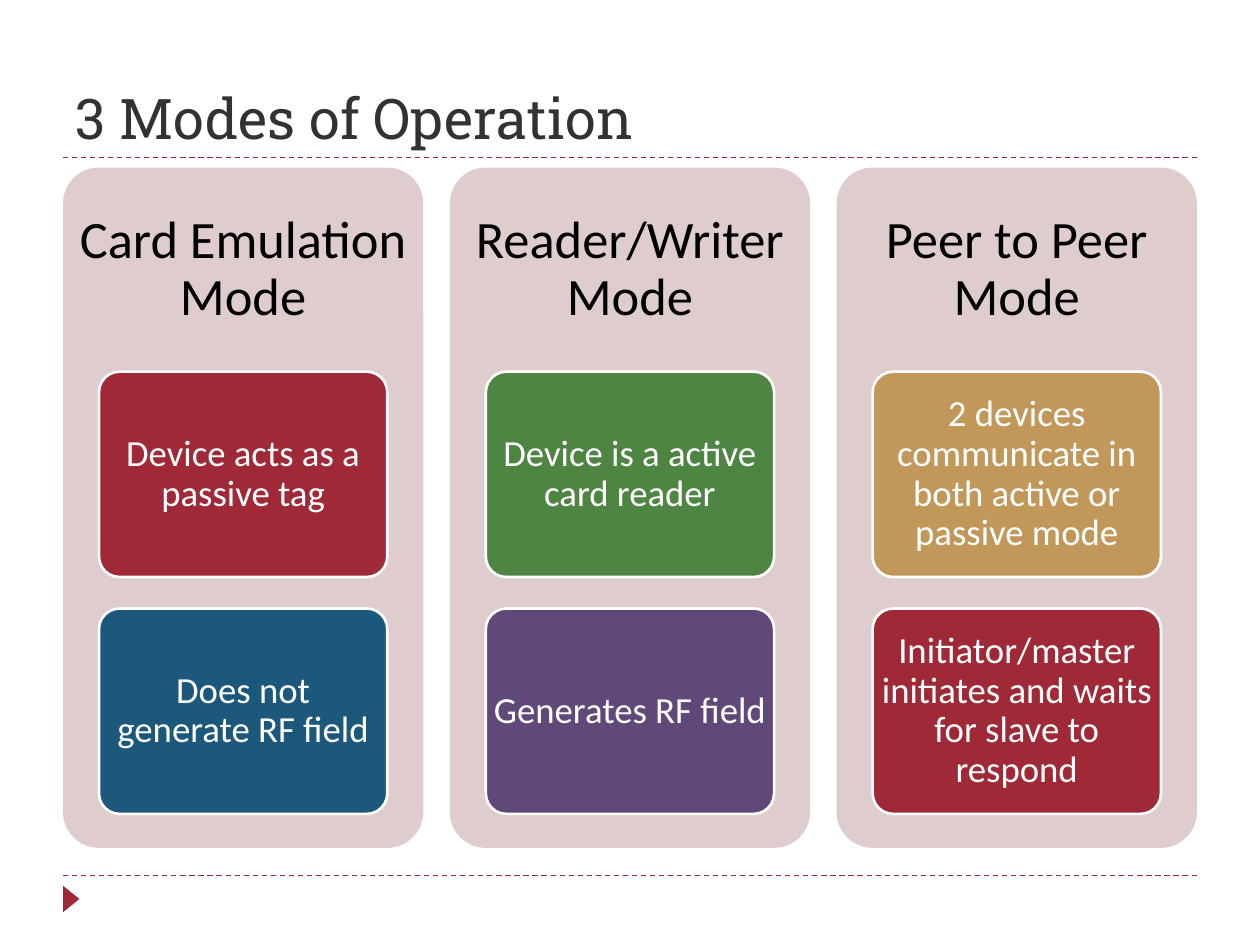
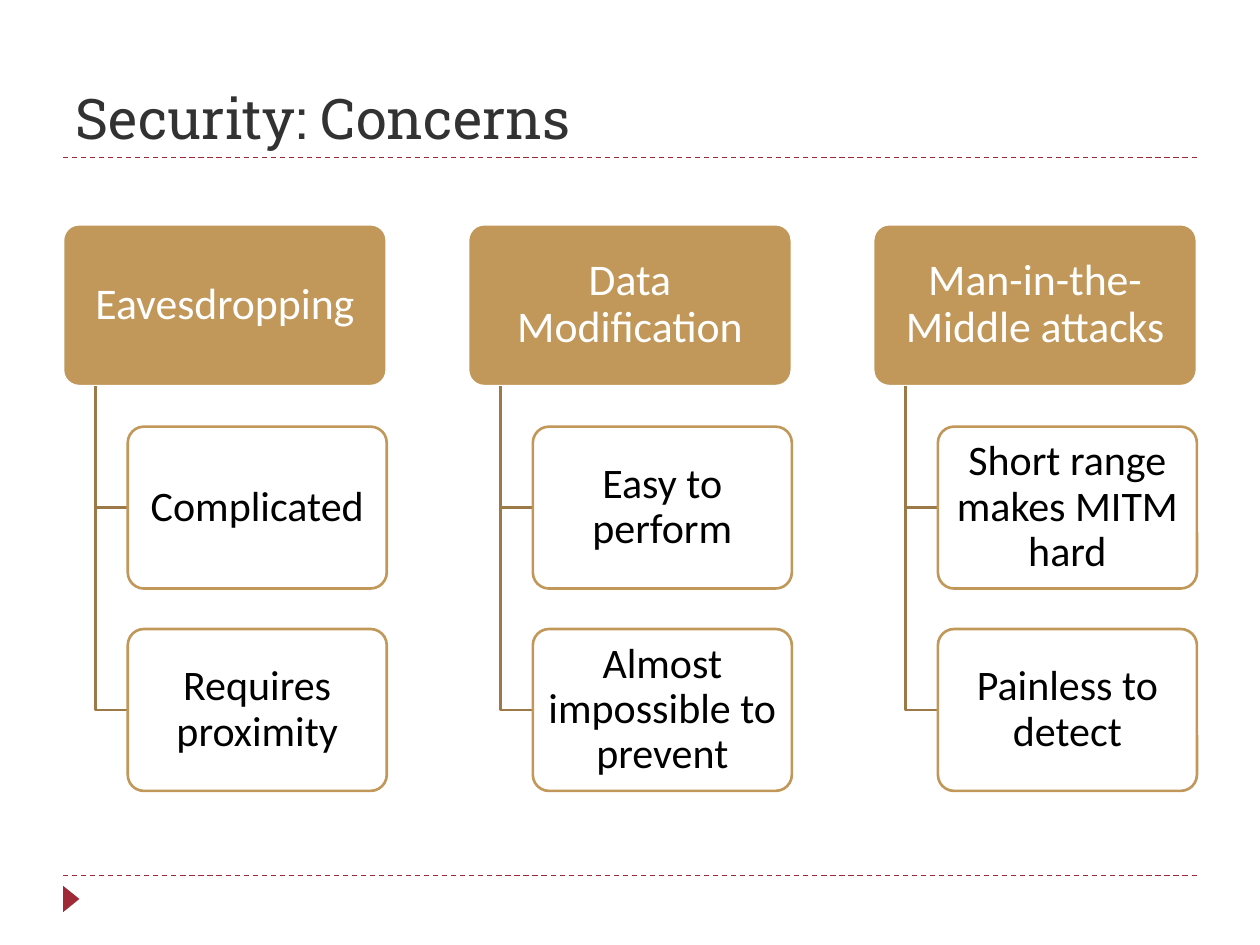
from dataclasses import dataclass
from typing import NamedTuple, Optional

from lxml.etree import SubElement
from pptx import Presentation
from pptx.dml.color import RGBColor
from pptx.enum.dml import MSO_LINE
from pptx.enum.shapes import MSO_CONNECTOR, MSO_SHAPE
from pptx.enum.text import MSO_ANCHOR, MSO_AUTO_SIZE, PP_ALIGN
from pptx.oxml.ns import qn
from pptx.util import Inches, Pt

# Shared look
TITLE_FONT, BODY_FONT = "Roboto Slab", "Calibri"
RED, BLUE, GREEN = "9F2936", "1B587C", "4E8542"
PURPLE, GOLD, DARK_GOLD = "604878", "C19859", "9B7A47"
PINK, CHARCOAL, WHITE, BLACK = "DFCDCE", "323232", "FFFFFF", "000000"

# Shared page grid, in inches
PAGE_W, PAGE_H = 10, 7.5
MARGIN = 0.05 * PAGE_W
CONTENT_W = PAGE_W - 2 * MARGIN
TITLE_TOP, TITLE_RULE, FOOTER_RULE = 0.17, 1.25, 6.95
COLUMNS = 3
CORNER = 0.1


class Box(NamedTuple):
    left: float
    top: float
    width: float
    height: float

    def lengths(self) -> list:
        return [Inches(value) for value in self]


@dataclass
class Style:
    fill: str
    text: str
    size: int
    inset: float
    line: Optional[str] = None
    opacity: int = 100


@dataclass
class Mode:
    heading: str
    cards: list  # (wording, fill) pairs


@dataclass
class Concern:
    heading: str
    points: list


MODES = [
    Mode("Card Emulation Mode", [("Device acts as a passive tag", RED),
                                 ("Does not generate RF field", BLUE)]),
    Mode("Reader/Writer Mode", [("Device is a active card reader", GREEN),
                                ("Generates RF field", PURPLE)]),
    Mode("Peer to Peer Mode", [("2 devices communicate in both active or passive mode", GOLD),
                               ("Initiator/master initiates and waits for slave to respond", RED)]),
]
CONCERNS = [
    Concern("Eavesdropping", ["Complicated", "Requires proximity"]),
    Concern("Data Modification", ["Easy to perform", "Almost impossible to prevent"]),
    Concern("Man-in-the-Middle attacks", ["Short range makes MITM hard", "Painless to detect"]),
]


def color(hex_code: str) -> RGBColor:
    return RGBColor.from_string(hex_code)


def column_left(index: int, width: float) -> float:
    """Left edge of a column when the columns span the content width."""
    return MARGIN + index * (CONTENT_W - width) / (COLUMNS - 1)


def write(frame, wording: str, size: int, text_color: str, inset: float) -> None:
    frame.word_wrap = True
    frame.vertical_anchor = MSO_ANCHOR.MIDDLE
    frame.margin_left = frame.margin_right = Inches(inset)
    frame.margin_top = frame.margin_bottom = 0
    paragraph = frame.paragraphs[0]
    paragraph.text = wording
    paragraph.alignment = PP_ALIGN.CENTER
    paragraph.line_spacing = 0.9
    paragraph.font.name = BODY_FONT
    paragraph.font.size = Pt(size)
    paragraph.font.color.rgb = color(text_color)


def add_card(slide, box: Box, style: Style, wording: str = "") -> None:
    card = slide.shapes.add_shape(MSO_SHAPE.ROUNDED_RECTANGLE, *box.lengths())
    card.adjustments[0] = CORNER
    card.shadow.inherit = False
    card.fill.solid()
    card.fill.fore_color.rgb = color(style.fill)
    if style.opacity < 100:
        fill_color = card._element.spPr.find(qn("a:solidFill"))[0]
        SubElement(fill_color, qn("a:alpha"), val=str(style.opacity * 1000))
    if style.line:
        card.line.color.rgb = color(style.line)
        card.line.width = Pt(1.5)
    else:
        card.line.fill.background()
    if wording:
        write(card.text_frame, wording, style.size, style.text, style.inset)


def add_rule(slide, y: float) -> None:
    rule = slide.shapes.add_connector(
        MSO_CONNECTOR.STRAIGHT, Inches(MARGIN), Inches(y), Inches(PAGE_W - MARGIN), Inches(y))
    rule.line.color.rgb = color(RED)
    rule.line.width = Pt(0.75)
    rule.line.dash_style = MSO_LINE.DASH
    SubElement(rule._element.spPr, qn("a:effectLst"))


def add_branch(slide, x: float, top: float, end_x: float, end_y: float) -> None:
    builder = slide.shapes.build_freeform(Inches(x), Inches(top))
    builder.add_line_segments(
        [(Inches(x), Inches(end_y)), (Inches(end_x), Inches(end_y))], close=False)
    branch = builder.convert_to_shape()
    branch.shadow.inherit = False
    branch.fill.background()
    branch.line.color.rgb = color(DARK_GOLD)
    branch.line.width = Pt(1.5)


def add_page(deck, heading: str):
    slide = deck.slides.add_slide(deck.slide_layouts.get_by_name("Title Only"))

    # Rules and footer marker
    add_rule(slide, FOOTER_RULE)
    add_rule(slide, TITLE_RULE)
    marker = slide.shapes.add_shape(
        MSO_SHAPE.ISOSCELES_TRIANGLE, *Box(0.46, 7.07, 0.21, 0.13).lengths())
    marker.rotation = 90
    marker.shadow.inherit = False
    marker.fill.solid()
    marker.fill.fore_color.rgb = color(RED)
    marker.line.fill.background()

    # Title
    title = slide.shapes.title
    title.left, title.top, title.width, title.height = Box(
        MARGIN, TITLE_TOP, CONTENT_W, TITLE_RULE - TITLE_TOP).lengths()
    frame = title.text_frame
    frame.auto_size = MSO_AUTO_SIZE.NONE
    frame.vertical_anchor = MSO_ANCHOR.BOTTOM
    paragraph = frame.paragraphs[0]
    paragraph.text = heading
    paragraph.alignment = PP_ALIGN.LEFT
    paragraph.font.name = TITLE_FONT
    paragraph.font.size = Pt(32)
    paragraph.font.color.rgb = color(CHARCOAL)
    return slide


def add_modes(deck) -> None:
    slide = add_page(deck, "3 Modes of Operation")
    panel_w, panel_top, panel_h = 2.86, 1.33, 5.4
    heading_h = 0.3 * panel_h
    card_w, card_h, card_pitch = 0.8 * panel_w, 1.63, 1.88
    for column, mode in enumerate(MODES):
        left = column_left(column, panel_w)
        add_card(slide, Box(left, panel_top, panel_w, panel_h), Style(PINK, BLACK, 30, 0))
        heading = slide.shapes.add_textbox(*Box(left, panel_top, panel_w, heading_h).lengths())
        write(heading.text_frame, mode.heading, 30, BLACK, 0.12)
        for row, (wording, fill) in enumerate(mode.cards):
            top = panel_top + heading_h + row * card_pitch
            add_card(slide, Box(left + 0.1 * panel_w, top, card_w, card_h),
                     Style(fill, WHITE, 21, 0.01, WHITE), wording)


def add_concerns(deck) -> None:
    slide = add_page(deck, "Security: Concerns")
    head_w, head_top = 2.57, 1.78
    box_h = head_w / 2
    row_pitch = 1.25 * box_h
    head_style = Style(GOLD, WHITE, 25, 0.01, WHITE)
    point_style = Style(WHITE, BLACK, 24, 0.01, GOLD, opacity=90)
    for column, concern in enumerate(CONCERNS):
        left = column_left(column, head_w)
        point_left = left + 0.2 * head_w
        add_card(slide, Box(left, head_top, head_w, box_h), head_style, concern.heading)
        for row, point in enumerate(concern.points, start=1):
            top = head_top + row * row_pitch
            add_branch(slide, left + 0.1 * head_w, head_top + box_h, point_left, top + box_h / 2)
            add_card(slide, Box(point_left, top, 0.8 * head_w, box_h), point_style, point)


deck = Presentation()
deck.slide_width, deck.slide_height = Inches(PAGE_W), Inches(PAGE_H)
add_modes(deck)
add_concerns(deck)
deck.save("out.pptx")
